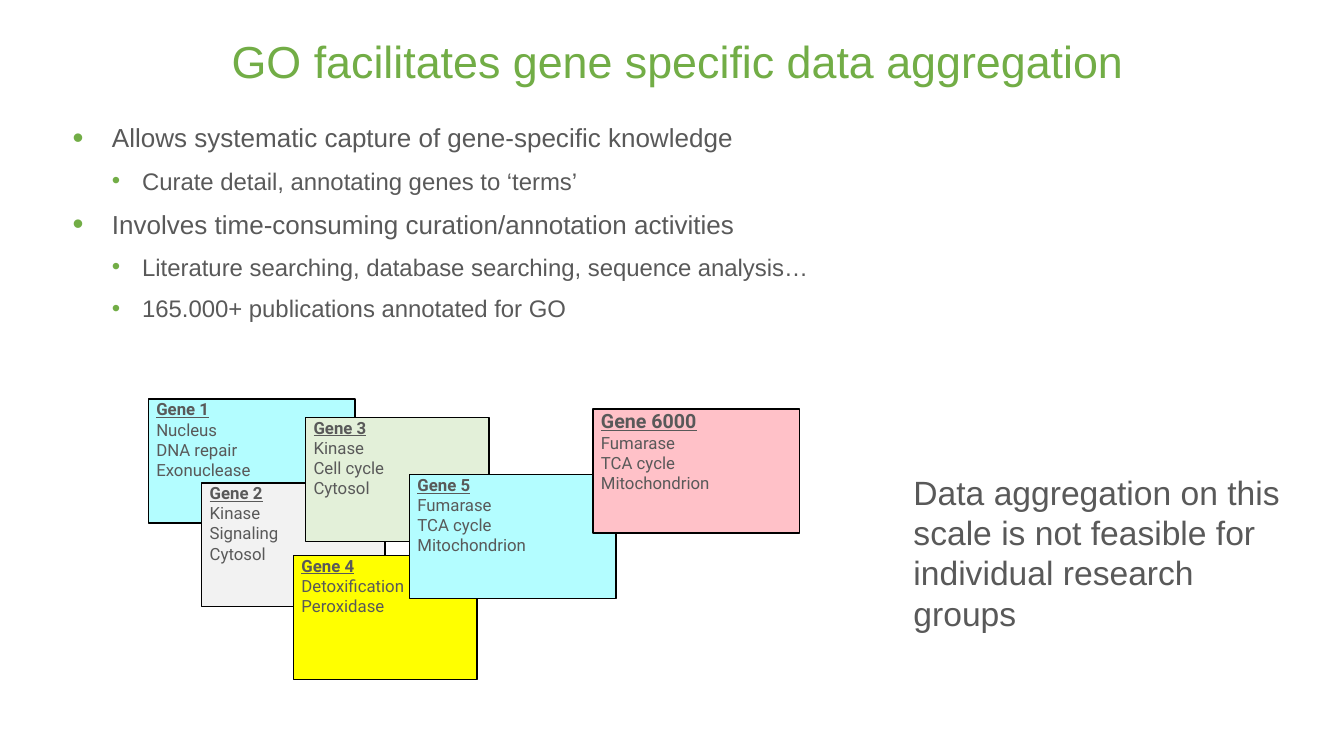
from dataclasses import dataclass

from lxml import etree
from pptx import Presentation
from pptx.dml.color import RGBColor
from pptx.enum.shapes import MSO_SHAPE
from pptx.enum.text import MSO_ANCHOR, PP_ALIGN
from pptx.oxml.ns import qn
from pptx.util import Inches, Pt

RECTANGLE = MSO_SHAPE.RECTANGLE
TOP = MSO_ANCHOR.TOP
LEFT, CENTER = PP_ALIGN.LEFT, PP_ALIGN.CENTER
GRID = Inches(0.1)  # width of a column and height of a row


@dataclass(frozen=True)
class Theme:
    accent: str = "72AD46"
    text: str = "595959"
    outline: str = "000000"
    cyan: str = "B3FDFF"
    gray: str = "F2F2F2"
    green: str = "E3F0D9"
    yellow: str = "FFFF00"
    pink: str = "FFC1C8"
    body_font: str = "Arial"
    card_font: str = "Roboto"
    title_size: float = 32
    message_size: float = 24
    card_size: float = 12
    large_card_size: float = 14
    line_factor: float = 1.2
    space_before: float = 0.2
    space_after: float = 5.8


THEME = Theme()


@dataclass(frozen=True)
class Area:
    column: float
    row: float
    columns: float
    rows: float

    def box(self) -> tuple[int, ...]:
        lengths = (self.column, self.row, self.columns, self.rows)
        return tuple(round(length * GRID) for length in lengths)


@dataclass(frozen=True)
class BulletLevel:
    size: float
    indent: float
    hanging: float
    bullet_percent: int


@dataclass(frozen=True)
class GeneCard:
    name: str
    terms: tuple[str, ...]
    column: float
    row: float
    fill: str
    columns: float = 18.2
    name_size: float = THEME.card_size


LEVELS = (BulletLevel(18.6, 0.39, 0.39, 120), BulletLevel(17.1, 0.69, 0.3, 100))

BULLETS = (
    (0, "Allows systematic capture of gene-specific knowledge"),
    (1, "Curate detail, annotating genes to ‘terms’"),
    (0, "Involves time-consuming curation/annotation activities"),
    (1, "Literature searching, database searching, sequence analysis…"),
    (1, "165.000+ publications annotated for GO"),
)

WIDE = 20.5
CARD_ROWS = 12.3
FUMARASE_TERMS = ("Fumarase", "TCA cycle", "Mitochondrion")
CARDS = (
    GeneCard("Gene 1", ("Nucleus", "DNA repair", "Exonuclease"), 14.7, 39.6, THEME.cyan, WIDE),
    GeneCard("Gene 2", ("Kinase", "Signaling", "Cytosol"), 20, 47.9, THEME.gray),
    GeneCard("Gene 3", ("Kinase", "Cell cycle", "Cytosol"), 30.3, 41.4, THEME.green),
    GeneCard("Gene 4", ("Detoxification", "Peroxidase"), 29.1, 55.1, THEME.yellow),
    GeneCard("Gene 5", FUMARASE_TERMS, 40.6, 47.1, THEME.cyan, WIDE),
    GeneCard("Gene 6000", FUMARASE_TERMS, 58.8, 40.6, THEME.pink, WIDE, THEME.large_card_size),
)


def color(value: str) -> RGBColor:
    return RGBColor.from_string(value)


def prepare_frame(shape, left_inset: float = 0):
    frame = shape.text_frame
    frame.word_wrap = True
    frame.vertical_anchor = TOP
    frame.margin_left = Inches(left_inset)
    frame.margin_top = frame.margin_right = frame.margin_bottom = 0
    return frame


def add_text_frame(slide, area: Area):
    return prepare_frame(slide.shapes.add_textbox(*area.box()))


def write_paragraph(frame, index: int, text: str, size: float, font_name: str,
                    text_color: str = THEME.text):
    paragraph = frame.paragraphs[0] if index == 0 else frame.add_paragraph()
    paragraph.text = text
    paragraph.alignment = LEFT
    paragraph.line_spacing = Pt(size * THEME.line_factor)
    paragraph.font.name = font_name
    paragraph.font.size = Pt(size)
    paragraph.font.color.rgb = color(text_color)
    return paragraph


def add_bullet(paragraph, level: BulletLevel) -> None:
    properties = paragraph._p.get_or_add_pPr()
    properties.set("marL", str(Inches(level.indent)))
    properties.set("indent", str(-Inches(level.hanging)))
    bullet_color = etree.Element(qn("a:buClr"))
    etree.SubElement(bullet_color, qn("a:srgbClr"), val=THEME.accent)
    bullet_size = etree.Element(qn("a:buSzPct"), val=str(level.bullet_percent * 1000))
    bullet_font = etree.Element(qn("a:buFont"), typeface=THEME.body_font)
    bullet = etree.Element(qn("a:buChar"), char="•")
    default_run = properties.find(qn("a:defRPr"))
    for element in (bullet_color, bullet_size, bullet_font, bullet):
        if default_run is None:
            properties.append(element)
        else:
            default_run.addprevious(element)


def add_title(slide) -> None:
    frame = add_text_frame(slide, Area(7.8, 3.3, 118.9, 12.9))
    title = write_paragraph(frame, 0, "GO facilitates gene specific data aggregation",
                            THEME.title_size, THEME.body_font, THEME.accent)
    title.alignment = CENTER


def add_bullets(slide) -> None:
    frame = add_text_frame(slide, Area(7.2, 12.1, 118.9, 18.4))
    for index, (depth, text) in enumerate(BULLETS):
        level = LEVELS[depth]
        paragraph = write_paragraph(frame, index, text, level.size, THEME.body_font)
        paragraph.level = depth
        paragraph.space_after = Pt(THEME.space_after)
        if index:
            paragraph.space_before = Pt(level.size * THEME.space_before)
        add_bullet(paragraph, level)


def add_gene_card(slide, card: GeneCard) -> None:
    area = Area(card.column, card.row, card.columns, CARD_ROWS)
    shape = slide.shapes.add_shape(RECTANGLE, *area.box())
    shape.shadow.inherit = False
    shape.fill.solid()
    shape.fill.fore_color.rgb = color(card.fill)
    shape.line.color.rgb = color(THEME.outline)
    shape.line.width = Pt(1)
    frame = prepare_frame(shape, left_inset=0.08)
    heading = write_paragraph(frame, 0, card.name, card.name_size, THEME.card_font)
    heading.font.bold = True
    heading.font.underline = True
    for index, term in enumerate(card.terms, start=1):
        write_paragraph(frame, index, term, THEME.card_size, THEME.card_font)


def add_message(slide) -> None:
    frame = add_text_frame(slide, Area(90.6, 46.8, 38.2, 16))
    write_paragraph(
        frame, 0,
        "Data aggregation on this scale is not feasible for individual research groups",
        THEME.message_size, THEME.body_font)


def main() -> None:
    presentation = Presentation()
    presentation.slide_width = Inches(13.33)
    presentation.slide_height = Inches(7.5)
    slide = presentation.slides.add_slide(presentation.slide_layouts[6])
    add_title(slide)
    add_bullets(slide)
    for card in CARDS:
        add_gene_card(slide, card)
    add_message(slide)
    presentation.save("out.pptx")


if __name__ == "__main__":
    main()
